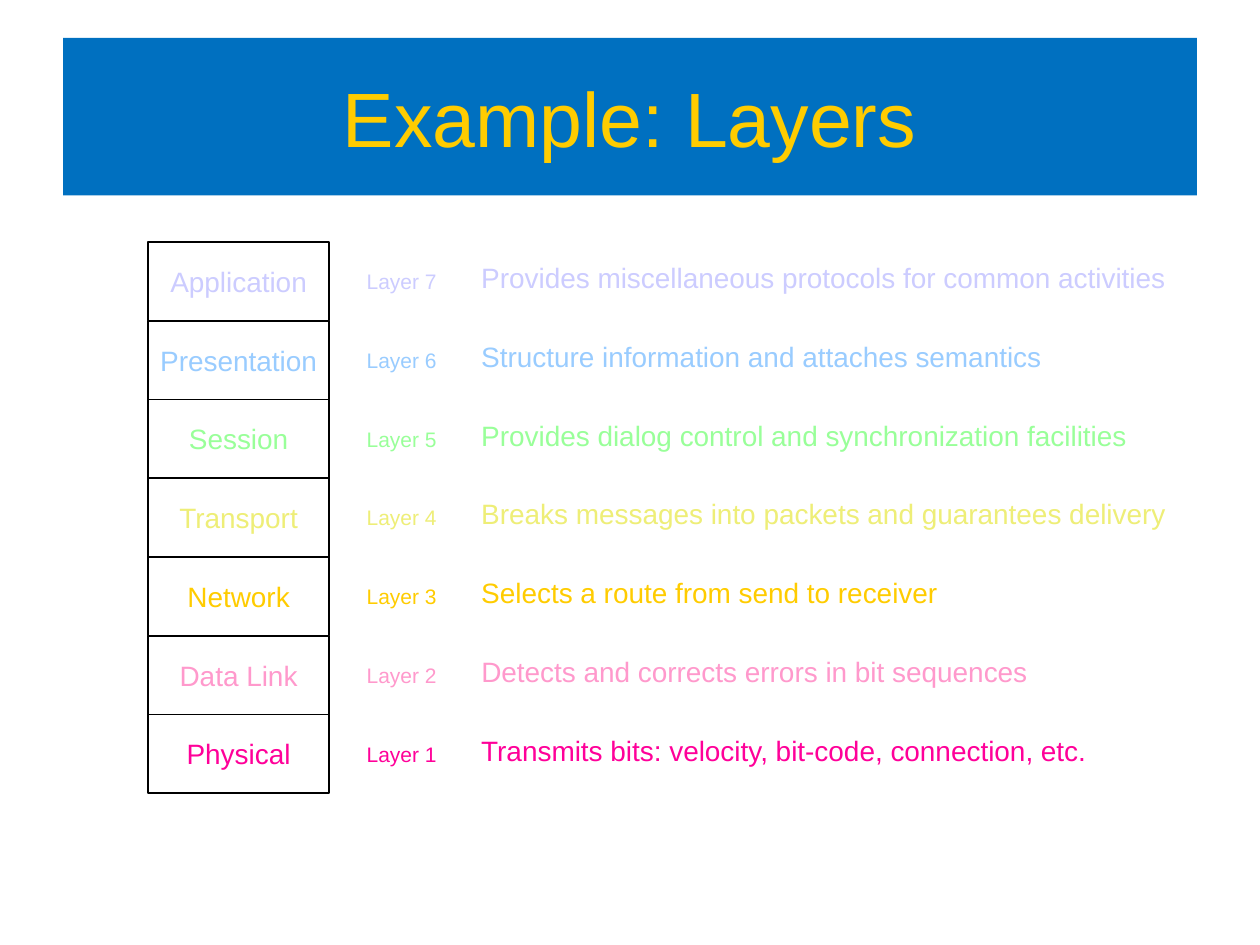
from pptx import Presentation
from pptx.dml.color import RGBColor
from pptx.enum.shapes import MSO_SHAPE
from pptx.enum.text import MSO_ANCHOR, MSO_AUTO_SIZE, PP_ALIGN
from pptx.util import Pt

COLORS = {
    "banner": "0070C0", "title": "FFCC00", "line": "000000",
    "Application": "CCCCFF", "Presentation": "99CCFF", "Session": "99FF99",
    "Transport": "EEEE77", "Network": "FFCC00", "Data Link": "FF99CC",
    "Physical": "FF0099",
}
LAYERS = [
    ("Application", "Provides miscellaneous protocols for common activities", 410),
    ("Presentation", "Structure information and attaches semantics", 340),
    ("Session", "Provides dialog control and synchronization facilities", 388),
    ("Transport", "Breaks messages into packets and guarantees delivery", 410),
    ("Network", "Selects a route from send to receiver", 280),
    ("Data Link", "Detects and corrects errors in bit sequences", 331),
    ("Physical", "Transmits bits: velocity, bit-code, connection, etc.", 366),
]
TOP, ROW = 138.25, 45


def rgb(key):
    """Return the named colour."""
    return RGBColor.from_string(COLORS[key])


def write(shape, text, size, key, align):
    """Write one unwrapped line of text into a shape."""
    tf = shape.text_frame
    tf.word_wrap = False
    tf.margin_left = tf.margin_right = Pt(9)
    tf.margin_top = tf.margin_bottom = Pt(4.5)
    p = tf.paragraphs[0]
    p.text = text
    p.alignment = align
    p.font.name = "Arial"
    p.font.size = Pt(size)
    p.font.color.rgb = rgb(key)


def add_title(s, text):
    """Format the title placeholder as a coloured banner."""
    title = s.shapes.title
    title.left, title.top, title.width, title.height = Pt(36), Pt(21.6), Pt(648), Pt(90)
    title.fill.solid()
    title.fill.fore_color.rgb = rgb("banner")
    write(title, text, 44, "title", PP_ALIGN.CENTER)
    title.text_frame.vertical_anchor = MSO_ANCHOR.MIDDLE


def add_box(s, top, name):
    """Add one outlined box of the layer stack."""
    box = s.shapes.add_shape(MSO_SHAPE.RECTANGLE, Pt(84.5), Pt(top), Pt(103.75), Pt(ROW))
    box.shadow.inherit = False
    box.fill.background()
    box.line.color.rgb = rgb("line")
    box.line.width = Pt(1)
    write(box, name, 16, name, PP_ALIGN.CENTER)
    box.text_frame.vertical_anchor = MSO_ANCHOR.MIDDLE


def add_label(s, left, top, width, height, text, size, key):
    """Add a left-aligned text box that fits its text."""
    label = s.shapes.add_textbox(Pt(left), Pt(top), Pt(width), Pt(height))
    write(label, text, size, key, PP_ALIGN.LEFT)
    label.text_frame.auto_size = MSO_AUTO_SIZE.SHAPE_TO_FIT_TEXT


def main():
    """Build the slide and save it."""
    prs = Presentation()
    prs.slide_width, prs.slide_height = Pt(720), Pt(540)
    s = prs.slides.add_slide(prs.slide_layouts[5])
    add_title(s, "Example: Layers")
    for i, (name, description, width) in enumerate(LAYERS):
        top = TOP + i * ROW
        add_box(s, top, name)
        add_label(s, 200.5, top + 10.75, 59, 23, f"Layer {len(LAYERS) - i}", 12, name)
        add_label(s, 266, top + 6.25, width, 28, description, 16, name)
    prs.save("out.pptx")


if __name__ == "__main__":
    main()
